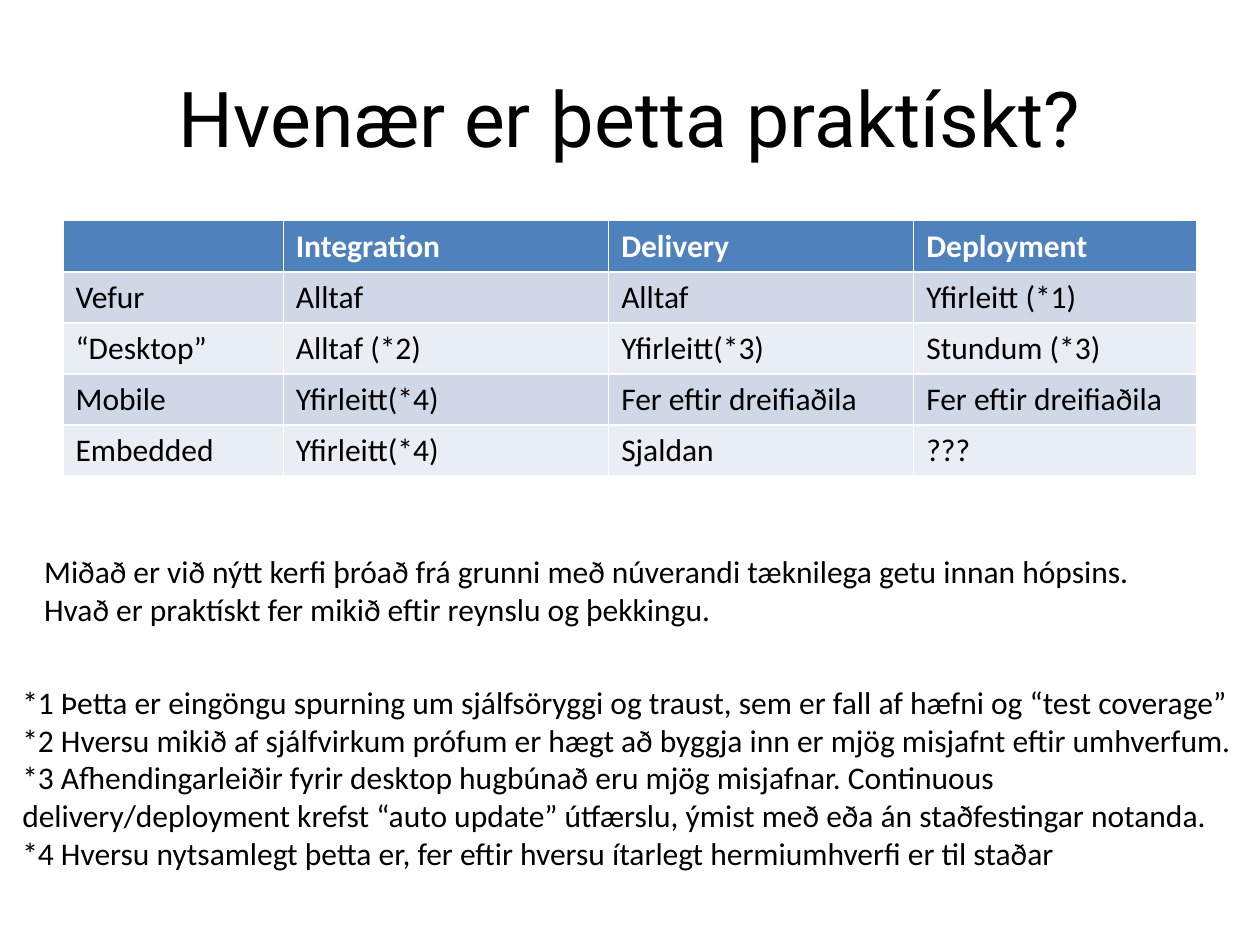
from pptx import Presentation
from pptx.dml.color import RGBColor
from pptx.enum.text import MSO_ANCHOR as Anchor, PP_ALIGN as Align
from pptx.util import Cm, Pt

COLORS = {"text": "000000", "header": "4F81BD", "header_text": "FFFFFF",
          "odd_row": "D0D8E8", "even_row": "E9EDF4"}

TITLE = "Hvenær er þetta praktískt?"
COLUMN_WIDTHS = [4.44, 6.56, 6.15, 5.71]
ROWS = [
    ["", "Integration", "Delivery", "Deployment"],
    ["Vefur", "Alltaf", "Alltaf", "Yfirleitt (*1)"],
    ["“Desktop”", "Alltaf (*2)", "Yfirleitt(*3)", "Stundum (*3)"],
    ["Mobile", "Yfirleitt(*4)", "Fer eftir dreifiaðila", "Fer eftir dreifiaðila"],
    ["Embedded", "Yfirleitt(*4)", "Sjaldan", "???"],
]
PREMISE = ["Miðað er við nýtt kerfi þróað frá grunni með núverandi tæknilega getu "
           "innan hópsins. Hvað er praktískt fer mikið eftir reynslu og þekkingu."]
FOOTNOTES = [
    "*1 Þetta er eingöngu spurning um sjálfsöryggi og traust, sem er fall af hæfni "
    "og “test coverage”",
    "*2 Hversu mikið af sjálfvirkum prófum er hægt að byggja inn er mjög misjafnt "
    "eftir umhverfum.",
    "*3 Afhendingarleiðir fyrir desktop hugbúnað eru mjög misjafnar. Continuous "
    "delivery/deployment krefst “auto update” útfærslu, ýmist með eða án "
    "staðfestingar notanda.",
    "*4 Hversu nytsamlegt þetta er, fer eftir hversu ítarlegt hermiumhverfi er til staðar",
]


def write_text(paragraph, text, font="Calibri", size=18, color="text",
               bold=False, align=Align.LEFT):
    paragraph.alignment = align
    run = paragraph.add_run()
    run.text = text
    run.font.name = font
    run.font.size = Pt(size)
    run.font.bold = bold
    run.font.color.rgb = RGBColor.from_string(COLORS[color])


def add_text_block(slide, box, lines, anchor=Anchor.TOP, **text_format):
    frame = slide.shapes.add_textbox(*map(Cm, box)).text_frame
    frame.word_wrap = True
    frame.vertical_anchor = anchor
    for index, line in enumerate(lines):
        paragraph = frame.add_paragraph() if index else frame.paragraphs[0]
        write_text(paragraph, line, **text_format)


def add_practicality_table(slide, box):
    table = slide.shapes.add_table(len(ROWS), len(COLUMN_WIDTHS), *map(Cm, box)).table
    for column, width in zip(table.columns, COLUMN_WIDTHS):
        column.width = Cm(width)
    for row_index, row in enumerate(ROWS):
        is_header = row_index == 0
        band = "odd_row" if row_index % 2 else "even_row"
        for column_index, text in enumerate(row):
            cell = table.cell(row_index, column_index)
            cell.fill.solid()
            fill_color = COLORS["header" if is_header else band]
            cell.fill.fore_color.rgb = RGBColor.from_string(fill_color)
            if text:
                write_text(cell.text_frame.paragraphs[0], text, bold=is_header,
                           color="header_text" if is_header else "text")


def main():
    presentation = Presentation()
    presentation.slide_width, presentation.slide_height = Cm(25.4), Cm(19.05)
    slide = presentation.slides.add_slide(presentation.slide_layouts[6])

    # Title
    add_text_block(slide, (1.27, 0.76, 22.86, 3.18), [TITLE], anchor=Anchor.MIDDLE,
                   font="Roboto", size=44, align=Align.CENTER)
    # Table of practices by platform
    add_practicality_table(slide, (1.27, 4.45, 22.86, 5.15))
    # Footnotes and premise
    add_text_block(slide, (0.2, 13.64, 25.2, 4.88), FOOTNOTES)
    add_text_block(slide, (0.64, 11, 23.5, 1.8), PREMISE)

    presentation.save("out.pptx")


if __name__ == "__main__":
    main()
